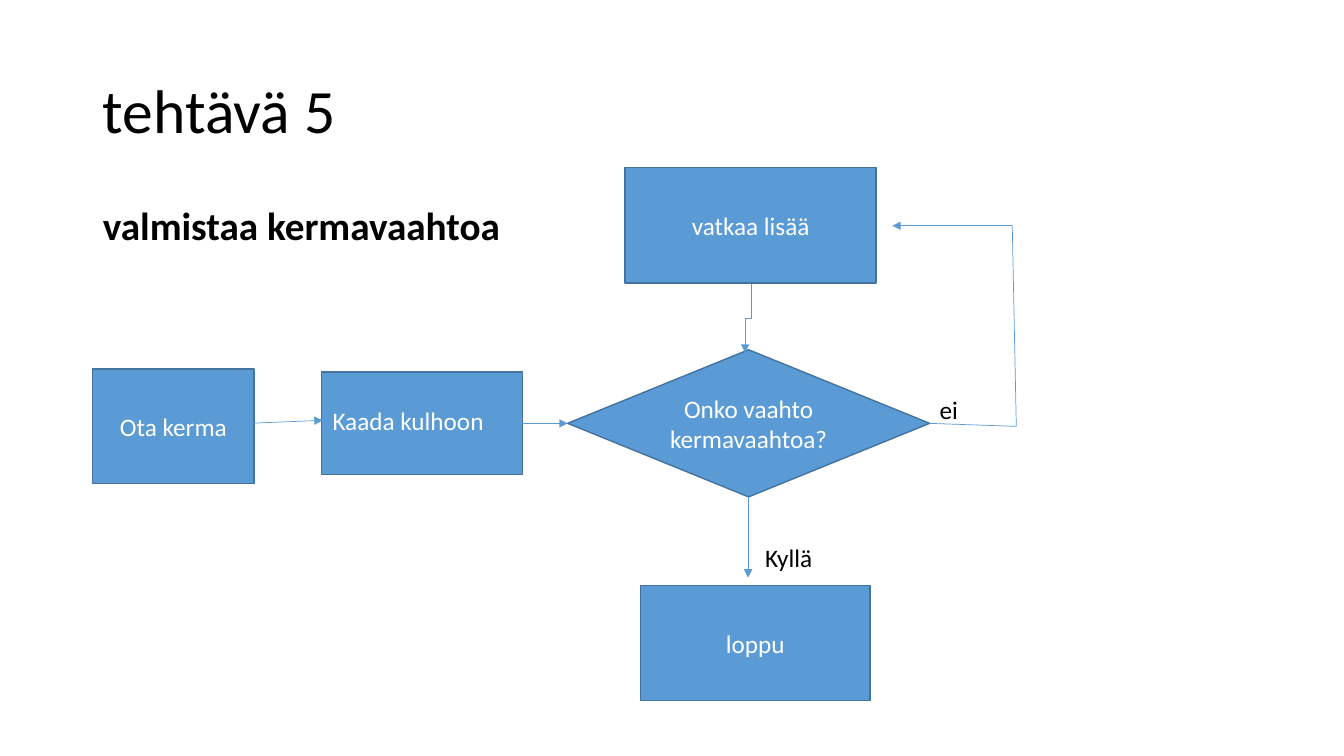
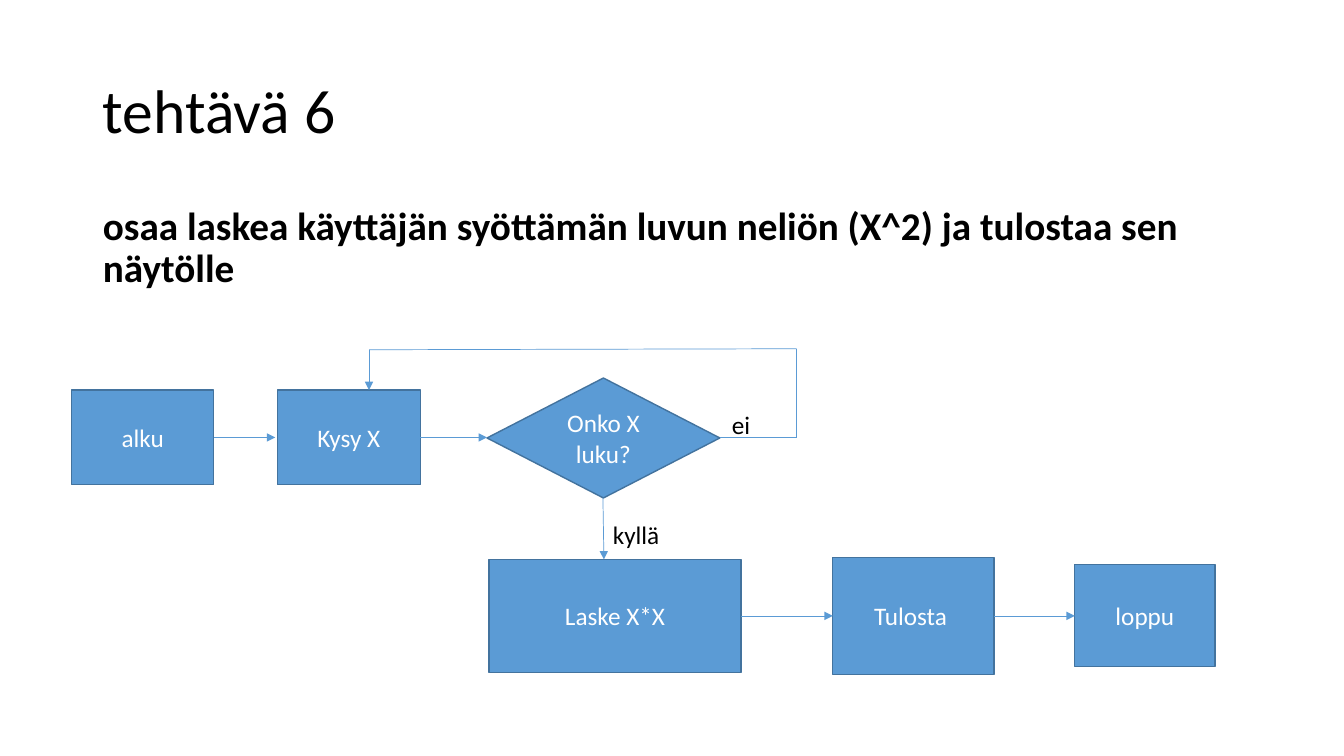
from pptx import Presentation
from pptx.dml.color import RGBColor
from pptx.enum.shapes import MSO_CONNECTOR, MSO_SHAPE
from pptx.enum.text import MSO_ANCHOR, MSO_AUTO_SIZE, PP_ALIGN
from pptx.oxml.ns import qn
from pptx.util import Inches, Pt
from lxml import etree

BLUE = RGBColor(0x5B, 0x9B, 0xD5)
DARK_BLUE = RGBColor(0x43, 0x73, 0x9E)
BLACK = RGBColor(0, 0, 0)
WHITE = RGBColor(0xFF, 0xFF, 0xFF)
FONT = "Calibri"

RECT = MSO_SHAPE.RECTANGLE
DIAMOND = MSO_SHAPE.DIAMOND
STRAIGHT = MSO_CONNECTOR.STRAIGHT
ELBOW = MSO_CONNECTOR.ELBOW
TOP, MIDDLE = MSO_ANCHOR.TOP, MSO_ANCHOR.MIDDLE
LEFT, CENTER = PP_ALIGN.LEFT, PP_ALIGN.CENTER
NO_FIT, GROW = MSO_AUTO_SIZE.NONE, MSO_AUTO_SIZE.SHAPE_TO_FIT_TEXT


def write(p, text, size, color, align=LEFT, bold=False):
    """Add one formatted run to a paragraph."""
    p.alignment = align
    r = p.add_run()
    r.text = text
    r.font.name = FONT
    r.font.size = Pt(size)
    r.font.bold = bold
    r.font.color.rgb = color


def fill_placeholder(sp, box, text, size, anchor, bold=False):
    """Move a placeholder and write its text without a bullet."""
    sp.left, sp.top, sp.width, sp.height = map(Inches, box)
    tf = sp.text_frame
    tf.word_wrap = True
    tf.auto_size = NO_FIT
    tf.vertical_anchor = anchor
    p = tf.paragraphs[0]
    write(p, text, size, BLACK, bold=bold)
    p.line_spacing = 0.9
    p_pr = p._p.get_or_add_pPr()
    p_pr.set("marL", "0")
    p_pr.set("indent", "0")
    etree.SubElement(p_pr, qn("a:buNone"))
    return p


def add_task_slide(prs, title, task):
    """Add a slide with the shared title and task text."""
    s = prs.slides.add_slide(prs.slide_layouts[1])
    fill_placeholder(s.shapes.title, (0.92, 0.4, 11.5, 1.45), title, 44, MIDDLE)
    p = fill_placeholder(s.placeholders[1], (0.92, 2, 11.5, 4.76), task, 28, TOP, True)
    p.space_before = Pt(10)
    return s


def add_step(s, x, y, w, h, text="", kind=RECT):
    """Add a blue flowchart step with centred text."""
    sp = s.shapes.add_shape(kind, Inches(x), Inches(y), Inches(w), Inches(h))
    sp.shadow.inherit = False
    sp.fill.solid()
    sp.fill.fore_color.rgb = BLUE
    sp.line.color.rgb = DARK_BLUE
    sp.line.width = Pt(1)
    if text:
        tf = sp.text_frame
        tf.word_wrap = True
        tf.vertical_anchor = MIDDLE
        write(tf.paragraphs[0], text, 18, WHITE, CENTER)


def add_label(s, x, y, w, text, color=BLACK):
    """Add a one-line label that does not wrap."""
    sp = s.shapes.add_textbox(Inches(x), Inches(y), Inches(w), Inches(0.4))
    tf = sp.text_frame
    tf.word_wrap = False
    tf.auto_size = GROW
    write(tf.paragraphs[0], text, 18, color)


def add_line(s, start, end, arrow=True, kind=STRAIGHT):
    """Add a thin connector, with an arrowhead at its end if wanted."""
    cxn = s.shapes.add_connector(kind, *map(Inches, (*start, *end)))
    cxn.line.color.rgb = BLUE
    cxn.line.width = Pt(0.5)
    if arrow:
        ln = cxn.line._get_or_add_ln()
        etree.SubElement(ln, qn("a:tailEnd"), type="triangle")
    etree.SubElement(cxn._element.spPr, qn("a:effectLst"))
    return cxn


def add_vertical_elbow(s, start, end):
    """Add a bent arrow that leaves and arrives vertically."""
    (x1, y1), (x2, y2) = start, end
    cx, cy = (x1 + x2) / 2, (y1 + y2) / 2
    dx, dy = (y2 - y1) / 2, (x1 - x2) / 2
    cxn = add_line(s, (cx - dx, cy - dy), (cx + dx, cy + dy), kind=ELBOW)
    cxn._element.spPr.find(qn("a:xfrm")).set("rot", str(90 * 60000))


def add_path(s, points):
    """Join points with lines and put an arrowhead on the last one."""
    for i, (start, end) in enumerate(zip(points, points[1:]), 2):
        add_line(s, start, end, arrow=i == len(points))


def build_cream_slide(prs):
    """Build the flowchart for whipping cream."""
    s = add_task_slide(prs, "tehtävä 5", "valmistaa kermavaahtoa")
    add_step(s, 0.92, 3.66, 1.6, 1.14, "Ota kerma")
    add_step(s, 3.19, 3.69, 1.99, 1.02)
    add_label(s, 3.2, 3.97, 1.72, "Kaada kulhoon", WHITE)
    add_step(s, 5.63, 3.47, 3.59, 1.46, "Onko vaahto kermavaahtoa?", DIAMOND)
    add_step(s, 6.2, 1.66, 2.49, 1.15, "vatkaa lisää")
    add_step(s, 6.35, 5.81, 2.28, 1.14, "loppu")
    add_line(s, (2.46, 4.2), (3.2, 4.17))
    add_line(s, (5.18, 4.2), (5.63, 4.2))
    add_line(s, (7.42, 4.93), (7.42, 5.73))
    add_vertical_elbow(s, (7.45, 2.82), (7.39, 3.5))
    add_path(s, [(9.22, 4.2), (10.08, 4.23), (10.04, 2.24), (8.85, 2.24)])
    add_label(s, 9.22, 3.86, 0.39, "ei")
    add_label(s, 7.49, 5.33, 0.67, "Kyllä")


def build_square_slide(prs):
    """Build the flowchart for squaring a number."""
    s = add_task_slide(
        prs,
        "tehtävä 6",
        "osaa laskea käyttäjän syöttämän luvun neliön (X^2) ja tulostaa sen näytölle",
    )
    add_step(s, 0.71, 3.87, 1.41, 0.94, "alku")
    add_step(s, 2.75, 3.87, 1.42, 0.94, "Kysy X")
    add_step(s, 4.83, 3.75, 2.31, 1.19, "Onko X luku?", DIAMOND)
    add_step(s, 4.85, 5.55, 2.5, 1.12, "Laske X*X")
    add_step(s, 8.26, 5.53, 1.6, 1.16, "Tulosta ")
    add_step(s, 10.66, 5.6, 1.39, 1.01, "loppu")
    for x1, x2, y in [(2.12, 2.73, 4.34), (4.17, 4.83, 4.34),
                      (7.35, 8.26, 6.11), (9.86, 10.66, 6.11)]:
        add_line(s, (x1, y), (x2, y))
    add_line(s, (5.98, 4.94), (5.99, 5.55))
    add_path(s, [(7.14, 4.34), (7.9, 4.34), (7.9, 3.46), (3.66, 3.47), (3.66, 3.87)])
    add_label(s, 7.16, 4.01, 0.39, "ei")
    add_label(s, 5.98, 5.1, 0.67, "kyllä")


def main():
    """Build and save the presentation."""
    prs = Presentation()
    prs.slide_width = Inches(13.33)
    prs.slide_height = Inches(7.5)
    build_cream_slide(prs)
    build_square_slide(prs)
    prs.save("out.pptx")


main()
